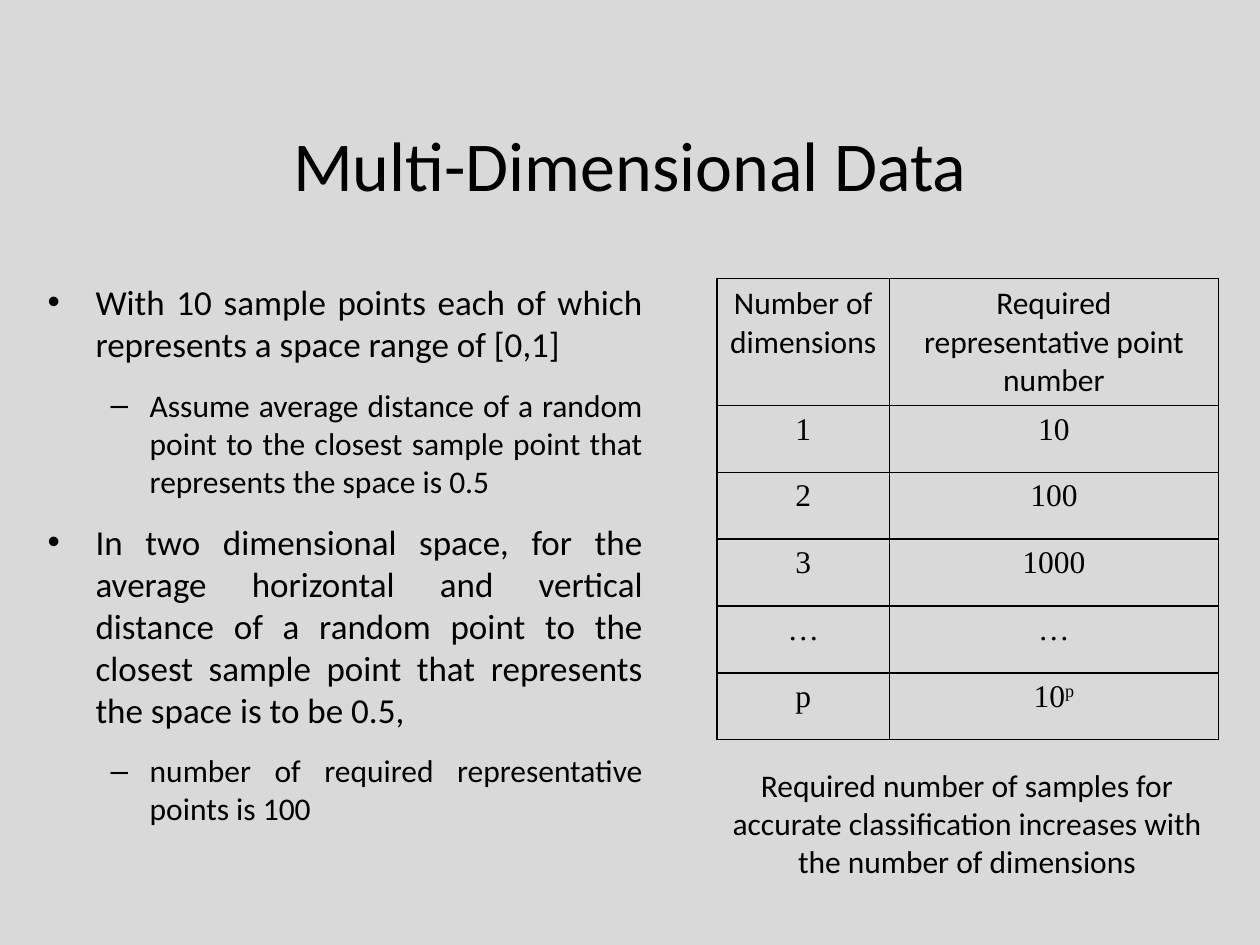
from lxml import etree
from pptx import Presentation
from pptx.dml.color import RGBColor
from pptx.enum.text import MSO_ANCHOR, PP_ALIGN
from pptx.oxml.ns import qn
from pptx.util import Inches, Pt

BLACK = RGBColor(0x00, 0x00, 0x00)
GRAY = RGBColor(0xD9, 0xD9, 0xD9)
CENTER, JUSTIFY = PP_ALIGN.CENTER, PP_ALIGN.JUSTIFY
TOP, MIDDLE = MSO_ANCHOR.TOP, MSO_ANCHOR.MIDDLE
SANS, SERIF = "Calibri", "Times New Roman"

TITLE = "Multi-Dimensional Data"
BULLETS = [
    (0, "With 10 sample points each of which represents a space range of [0,1]"),
    (1, "Assume average distance of a random point to the closest sample point "
        "that represents the space is 0.5"),
    (0, "In two dimensional space, for the average horizontal and vertical distance "
        "of a random point to the closest sample point that represents the space "
        "is to be 0.5,"),
    (1, "number of required representative points is 100"),
]
LEVELS = [("•", 20, 0.38, -0.38), ("–", 18, 0.81, -0.31)]
ROWS = [
    ("Number of dimensions", "Required representative point number"),
    ("1", "10"),
    ("2", "100"),
    ("3", "1000"),
    ("…", "…"),
    ("p", "10"),
]
EXPONENT = "p"
COLUMN_WIDTHS = [1.37, 2.61]
ROW_HEIGHTS = [1.01] + [0.53] * (len(ROWS) - 1)
CAPTION = ("Required number of samples for accurate classification increases "
           "with the number of dimensions")


def style(paragraph, size, alignment=CENTER, name=SANS):
    paragraph.alignment = alignment
    paragraph.font.size = Pt(size)
    paragraph.font.name = name
    paragraph.font.color.rgb = BLACK


def add_text_frame(slide, left, top, width, height, anchor=TOP):
    box = slide.shapes.add_textbox(
        Inches(left), Inches(top), Inches(width), Inches(height))
    box.text_frame.word_wrap = True
    box.text_frame.vertical_anchor = anchor
    return box.text_frame


def add_bullets(frame):
    for index, (level, text) in enumerate(BULLETS):
        character, size, margin, indent = LEVELS[level]
        paragraph = frame.add_paragraph() if index else frame.paragraphs[0]
        paragraph.text = text
        paragraph.level = level
        paragraph.space_before = Pt(6 if index else 0)
        paragraph.space_after = Pt(6)
        properties = paragraph._p.get_or_add_pPr()
        properties.set("marL", str(Inches(margin)))
        properties.set("indent", str(Inches(indent)))
        etree.SubElement(properties, qn("a:buFont"), typeface="Arial")
        etree.SubElement(properties, qn("a:buChar"), char=character)
        style(paragraph, size, JUSTIFY)


def add_borders(cell):
    properties = cell._tc.get_or_add_tcPr()
    for side in ("a:lnL", "a:lnR", "a:lnT", "a:lnB"):
        line = etree.SubElement(properties, qn(side), w=str(Pt(1)))
        fill = etree.SubElement(line, qn("a:solidFill"))
        etree.SubElement(fill, qn("a:srgbClr"), val=str(BLACK))


def add_dimension_table(slide):
    table = slide.shapes.add_table(
        len(ROWS), len(COLUMN_WIDTHS), Inches(5.69), Inches(2.21),
        Inches(sum(COLUMN_WIDTHS)), Inches(sum(ROW_HEIGHTS))).table
    table.first_row = False
    table.horz_banding = False
    for column, width in zip(table.columns, COLUMN_WIDTHS):
        column.width = Inches(width)
    for row_index, (values, height) in enumerate(zip(ROWS, ROW_HEIGHTS)):
        table.rows[row_index].height = Inches(height)
        for column_index, value in enumerate(values):
            cell = table.cell(row_index, column_index)
            cell.text = value
            add_borders(cell)
            cell.fill.background()
            style(cell.text_frame.paragraphs[0], 18,
                  name=SERIF if row_index else SANS)
    last_cell = table.cell(len(ROWS) - 1, len(COLUMN_WIDTHS) - 1)
    exponent = last_cell.text_frame.paragraphs[0].add_run()
    exponent.text = EXPONENT
    exponent._r.get_or_add_rPr().set("baseline", "30000")


def main():
    presentation = Presentation()
    presentation.slide_width = Inches(10)
    presentation.slide_height = Inches(7.5)
    slide = presentation.slides.add_slide(presentation.slide_layouts[6])
    slide.background.fill.solid()
    slide.background.fill.fore_color.rgb = GRAY

    title = add_text_frame(slide, 0.75, 0.67, 8.5, 1.25, MIDDLE)
    title.text = TITLE
    style(title.paragraphs[0], 40)

    add_bullets(add_text_frame(slide, 0.28, 2.18, 4.92, 4.65))
    add_dimension_table(slide)

    caption = add_text_frame(slide, 5.55, 6.03, 4.25, 1.01)
    caption.text = CAPTION
    style(caption.paragraphs[0], 18)

    presentation.save("out.pptx")


if __name__ == "__main__":
    main()
